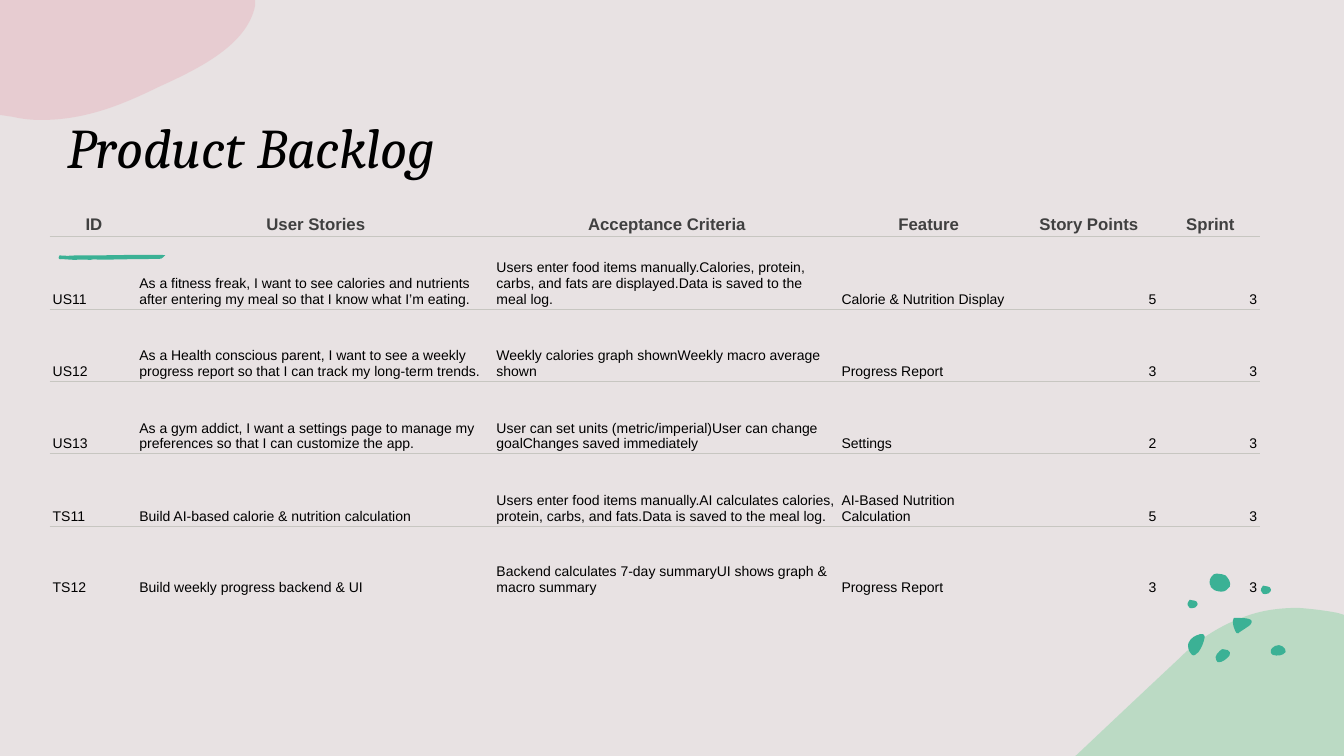
from lxml.etree import SubElement
from pptx import Presentation
from pptx.dml.color import RGBColor
from pptx.enum.text import MSO_ANCHOR, MSO_AUTO_SIZE, PP_ALIGN
from pptx.oxml import parse_xml
from pptx.oxml.ns import nsdecls, qn
from pptx.util import Pt

HUES = {"back": "E8E2E3", "green": "90D3A7", "teal": "3BB195", "pink": "E7B8C0",
        "rule": "C7C6C1", "head": "404040", "ink": "000000"}
UNIT = 100  # path units in a point


def hue(name):
    return RGBColor.from_string(HUES[name])


def blob(parts, name, alpha=100, dx=0, dy=0):
    """Draw an outline: pairs are corners, sixes are Bezier curves."""
    ends = [((p[-2] + dx) * UNIT, (p[-1] + dy) * UNIT) for p in parts]
    form = slide.shapes.build_freeform(*ends[0], scale=Pt(1) / UNIT)
    form.add_line_segments(ends[1:], close=True)
    shape = form.convert_to_shape()
    # Bend the straight segments
    left, top = min(x for x, y in ends), min(y for x, y in ends)
    lines = shape._element.findall(".//" + qn("a:lnTo"))
    for part, line in zip(parts[1:], lines):
        if len(part) == 6:
            line.tag = qn("a:cubicBezTo")
            line.clear()
            for x, y in zip(part[::2], part[1::2]):
                dot = SubElement(line, qn("a:pt"))
                dot.set("x", str(round((x + dx) * UNIT - left)))
                dot.set("y", str(round((y + dy) * UNIT - top)))
    shape.shadow.inherit = False
    shape.line.fill.background()
    shape.fill.solid()
    shape.fill.fore_color.rgb = hue(name)
    if alpha < 100:
        tint = shape.fill._xPr.find(".//" + qn("a:srgbClr"))
        SubElement(tint, qn("a:alpha")).set("val", str(alpha * 1000))


deck = Presentation()
deck.slide_width, deck.slide_height = Pt(960), Pt(540)
slide = deck.slides.add_slide(deck.slide_layouts[5])
slide.background.fill.solid()
slide.background.fill.fore_color.rgb = hue("back")

# Corner shapes
blob([(927.4, 434.2), (936.7, 434.9, 946.1, 436, 955.4, 437.8), (960, 439.2),
      (960, 540), (768, 540), (769, 539.3), (794.2, 515.5, 818.6, 492.5, 841.7, 470.9),
      (857.5, 455, 874.1, 445.7, 890.6, 439.9),
      (902.9, 435.6, 915.1, 434.2, 927.4, 434.2)], "green", 50)
blob([(0, 0), (182.2, 0), (182.2, 4.3), (176.4, 31.7, 144, 48.2, 113.8, 61.9),
      (88.6, 74.2, 61.9, 85.7, 29.5, 85.7), (22.3, 85.7, 15.8, 85, 9.4, 83.5),
      (0, 82.1)], "pink", 50)

# Teal pebbles
pebbles = [
    [(873.4, 463.7), (874.8, 463.7, 875.5, 463.7, 877, 464.4),
     (878.4, 465.1, 879.1, 466.6, 878.4, 468), (877, 470.2, 872.6, 473.8, 869.8, 473),
     (869, 472.3, 868.3, 470.9, 868.3, 469.4), (868.3, 468, 869.8, 466.6, 871.2, 465.1),
     (871.9, 464.4, 872.6, 463.7, 873.4, 463.7)],
    [(857.5, 452.9), (859, 452.9, 860.4, 452.9, 860.4, 454.3),
     (860.4, 455, 860.4, 455, 860.4, 455.8),
     (859.7, 459.4, 858.2, 463, 856.1, 465.8), (854.6, 467.3, 852.5, 469.4, 851, 467.3),
     (848.9, 465.1, 848.2, 461.5, 848.9, 459.4), (849.6, 457.2, 851, 456.5, 852.5, 455),
     (853.2, 455, 855.4, 452.9, 857.5, 452.9)],
    [(913.7, 460.8), (915.1, 460.8, 917.3, 462.2, 918, 463.7),
     (918.7, 465.1, 918.7, 466.6, 916.6, 467.3), (914.4, 468.7, 908.6, 468.7, 907.9, 466.6),
     (907.2, 465.1, 907.9, 463.7, 908.6, 463), (910.1, 461.5, 911.5, 460.8, 913.7, 460.8)],
    [(864.7, 418.3), (864, 418.3, 863.3, 414, 865.4, 411.8),
     (866.9, 410.4, 866.9, 409.7, 869, 409.7), (871.2, 409.7, 874.1, 410.4, 875.5, 411.1),
     (877, 412.6, 879.8, 416.2, 878.4, 419), (876.2, 421.2, 875.5, 422.6, 872.6, 422.6),
     (870.5, 422.6, 866.9, 421.9, 866.2, 420.5), (864.7, 419.8, 864.7, 419, 864.7, 418.3)],
    [(884.2, 441.4), (888.5, 441.4, 896.4, 441.4, 893.5, 445.7),
     (893.5, 446.4, 892.8, 447.1, 892.1, 447.1), (889.9, 448.6, 887.8, 450, 885.6, 451.4),
     (884.9, 452.2, 884.2, 452.9, 883.4, 452.2), (883.4, 452.2, 882.7, 451.4, 882.7, 451.4),
     (881.3, 448.6, 880.6, 446.4, 880.6, 443.5), (880.6, 442.8, 880.6, 442.1, 881.3, 441.4)],
]
for pebble in pebbles:
    blob(pebble, "teal")

# Two small pebbles of one form
small = [(900.7, 421.9), (900.7, 421.9, 900.7, 419, 902.2, 418.3),
         (903.6, 418.3, 904.3, 418.3, 905.8, 419), (906.5, 419, 907.9, 419.8, 907.9, 421.2),
         (907.9, 421.9, 907.2, 423.4, 906.5, 423.4), (906.5, 423.4, 906.5, 424.1, 905, 424.1),
         (904.3, 424.1, 902.9, 424.8, 902.2, 424.1), (901.4, 422.6, 900.7, 422.6, 900.7, 421.9)]
for dx, dy in [(0, 0), (-52.4, 10.1)]:
    blob(small, "teal", dx=dx, dy=dy)

# Brush stroke and its specks
blob([(61.9, 185.5), (63, 185.2, 64, 185.6, 64.8, 185.6), (66.2, 185.3), (77, 185.5),
      (82.8, 185.3), (95.8, 185.1), (107.3, 185), (113, 185),
      (117.4, 185, 115.9, 182.9, 118.1, 182.2), (113, 182), (95.8, 182), (79.9, 182.3),
      (63.4, 182.4), (54, 182.4), (50.4, 182.8, 46, 182.8, 42.5, 182.4),
      (41.8, 182.9, 41, 185.7, 43.9, 185.1), (46.8, 185.1, 51.1, 185.6, 54, 185.6),
      (56.9, 185.4), (61.9, 185.5)], "teal")
for x, y, wide in [(41.9, 184.9, 0.7), (43.1, 185, 0.2), (117.6, 182.2, 0.2)]:
    blob([(x, y), (x + wide, y), (x + wide, y + 0.1)], "teal")

# Title
title = slide.shapes.title
title.left, title.top, title.width, title.height = Pt(41), Pt(76.9), Pt(439), Pt(124.6)
frame = title.text_frame
frame.word_wrap = True
frame.auto_size = MSO_AUTO_SIZE.NONE
frame.vertical_anchor = MSO_ANCHOR.TOP
para = frame.paragraphs[0]
para.alignment = PP_ALIGN.LEFT
run = para.add_run()
run.text = "Product Backlog"
run.font.name, run.font.size, run.font.italic = "Cambria", Pt(40), True
run.font.color.rgb = hue("ink")

# Backlog table
rows = [
    ("ID", "User Stories", "Acceptance Criteria", "Feature", "Story Points", "Sprint"),
    ("US11", "As a fitness freak, I want to see calories and nutrients after entering my meal "
     "so that I know what I’m eating.",
     "Users enter food items manually.Calories, protein, carbs, and fats are displayed."
     "Data is saved to the meal log.", "Calorie & Nutrition Display", "5", "3"),
    ("US12", "As a Health conscious parent, I want to see a weekly progress report "
     "so that I can track my long-term trends.",
     "Weekly calories graph shownWeekly macro average shown", "Progress Report", "3", "3"),
    ("US13", "As a gym addict, I want a settings page to manage my preferences "
     "so that I can customize the app.",
     "User can set units (metric/imperial)User can change goalChanges saved immediately",
     "Settings", "2", "3"),
    ("TS11", "Build AI-based calorie & nutrition calculation",
     "Users enter food items manually.AI calculates calories, protein, carbs, and fats."
     "Data is saved to the meal log.", "AI-Based Nutrition Calculation", "5", "3"),
    ("TS12", "Build weekly progress backend & UI",
     "Backend calculates 7-day summaryUI shows graph & macro summary",
     "Progress Report", "3", "3"),
]
widths = [61.9, 255.1, 246.5, 127.5, 101.5, 72]
heights = [17.5] + [51.7] * 4 + [51]
holder = slide.shapes.add_table(len(rows), len(widths), Pt(35.5), Pt(151.2),
                                Pt(sum(widths)), Pt(sum(heights)))
table = holder.table
table.horz_banding = False
# Plain style without grid
table._tbl.tblPr.find(qn("a:tableStyleId")).text = "{2D5ABB26-0587-4C30-8999-92F81FD0307C}"
for col, width in zip(table.columns, widths):
    col.width = Pt(width)
for r, row in enumerate(rows):
    table.rows[r].height = Pt(heights[r])
    head = r == 0
    for c, text in enumerate(row):
        cell = table.cell(r, c)
        cell.fill.background()
        cell.vertical_anchor = MSO_ANCHOR.BOTTOM
        cell.margin_left, cell.margin_right = (Pt(5), Pt(3.6)) if head else (Pt(2.2), Pt(2))
        cell.margin_top = cell.margin_bottom = Pt(2.2 if head else 1.4)
        para = cell.text_frame.paragraphs[0]
        para.alignment = (PP_ALIGN.CENTER if head else
                          PP_ALIGN.RIGHT if c > 3 else PP_ALIGN.LEFT)
        run = para.add_run()
        run.text = text
        run.font.name, run.font.size = "Arial", Pt(12 if head else 10)
        run.font.bold = head
        run.font.color.rgb = hue("head" if head else "ink")
        if r < len(rows) - 1:
            rule = parse_xml(f'<a:lnB {nsdecls("a")} w="{Pt(0.75)}"><a:solidFill>'
                             f'<a:srgbClr val="{HUES["rule"]}"/></a:solidFill></a:lnB>')
            cell._tc.get_or_add_tcPr().insert(0, rule)

deck.save("out.pptx")
